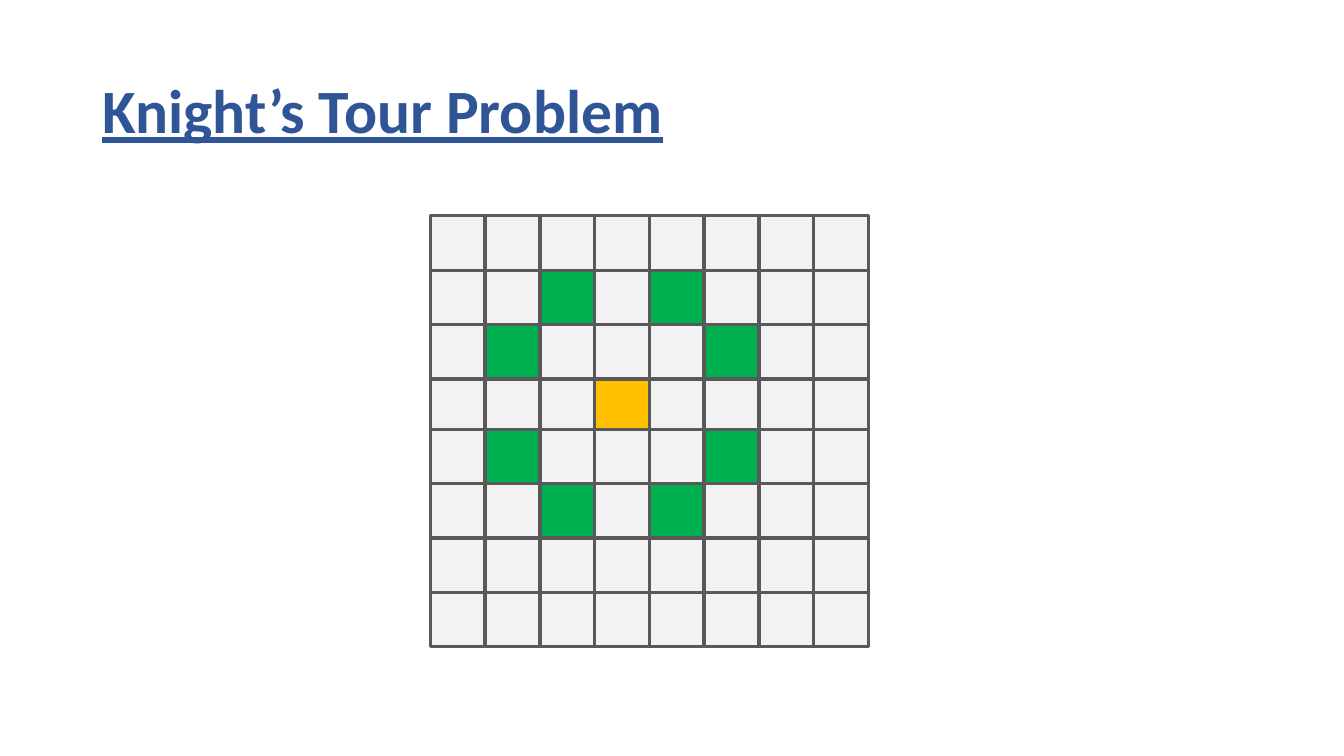
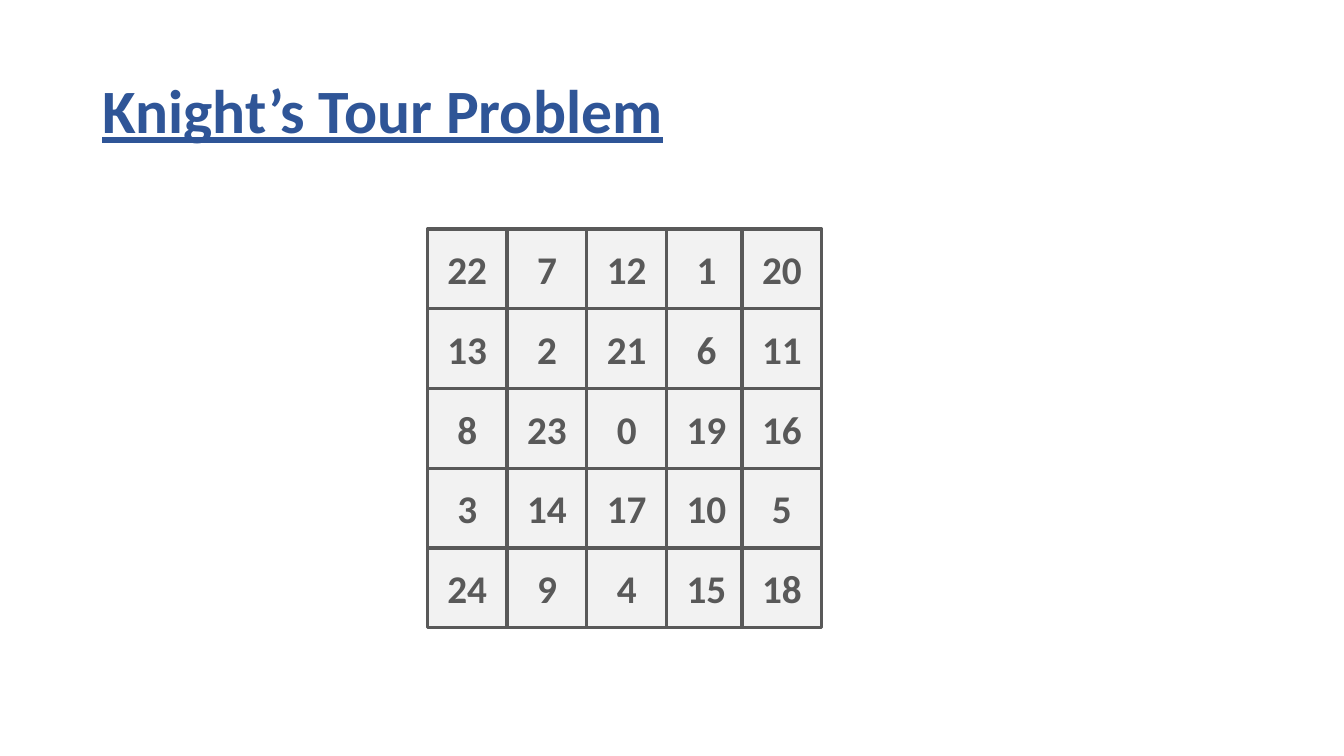
"""Build two slides on the knight's tour: its moves and a full tour."""
import pptx
import pptx.dml.color
import pptx.enum.shapes
import pptx.enum.text
import pptx.util

Cm = pptx.util.Cm
Pt = pptx.util.Pt
RGBColor = pptx.dml.color.RGBColor

BLUE = RGBColor(0x2F, 0x55, 0x97)
GREY = RGBColor(0x59, 0x59, 0x59)
PALE = RGBColor(0xF2, 0xF2, 0xF2)
GREEN = RGBColor(0x00, 0xB0, 0x50)
GOLD = RGBColor(0xFF, 0xC0, 0x00)
FONT = "Calibri"
TITLE = "Knight’s Tour Problem"
MIDDLE = pptx.enum.text.MSO_ANCHOR.MIDDLE

SIDE = 8
START = (3, 3)
TOUR = [
    [22, 7, 12, 1, 20],
    [13, 2, 21, 6, 11],
    [8, 23, 0, 19, 16],
    [3, 14, 17, 10, 5],
    [24, 9, 4, 15, 18],
]


def style(para, size, color):
    para.font.name = FONT
    para.font.size = Pt(size)
    para.font.bold = True
    para.font.color.rgb = color


def add_slide(deck):
    slide = deck.slides.add_slide(deck.slide_layouts[6])
    box = slide.shapes.add_textbox(Cm(2.33), Cm(1.02), Cm(29.21), Cm(3.68))
    frame = box.text_frame
    frame.word_wrap = True
    frame.vertical_anchor = MIDDLE
    para = frame.paragraphs[0]
    para.text = TITLE
    para.line_spacing = 0.9
    style(para, 44, BLUE)
    para.font.underline = True
    return slide


def add_square(slide, left, top, size, fill, label=""):
    square = slide.shapes.add_shape(
        pptx.enum.shapes.MSO_SHAPE.RECTANGLE, Cm(left), Cm(top), Cm(size), Cm(size))
    square.shadow.inherit = False
    square.fill.solid()
    square.fill.fore_color.rgb = fill
    square.line.color.rgb = GREY
    square.line.width = Pt(2.25)
    if label:
        square.text_frame.vertical_anchor = MIDDLE
        para = square.text_frame.paragraphs[0]
        para.text = label
        para.alignment = pptx.enum.text.PP_ALIGN.CENTER
        style(para, 28, GREY)


def move_fill(row, col):
    down, across = abs(row - START[0]), abs(col - START[1])
    if (down, across) == (0, 0):
        return GOLD
    return GREEN if down * across == 2 else PALE


def add_moves(slide):
    lefts = [10.85 + 1.38 * col for col in range(SIDE)]
    tops = [5.44 + 1.37 * row - (0.1 if row > START[0] else 0) for row in range(SIDE)]
    for row, top in enumerate(tops):
        for col, left in enumerate(lefts):
            add_square(slide, left, top, 1.37, move_fill(row, col))


def add_tour(slide):
    size = 2.01
    last = len(TOUR) - 1
    for row, steps in enumerate(TOUR):
        for col, step in enumerate(steps):
            left = 10.77 + size * col - (0.11 if col == last else 0)
            add_square(slide, left, 5.77 + size * row, size, PALE, str(step))


def main():
    deck = pptx.Presentation()
    deck.slide_width = Cm(33.87)
    deck.slide_height = Cm(19.05)
    add_moves(add_slide(deck))
    add_tour(add_slide(deck))
    deck.save("out.pptx")


if __name__ == "__main__":
    main()
